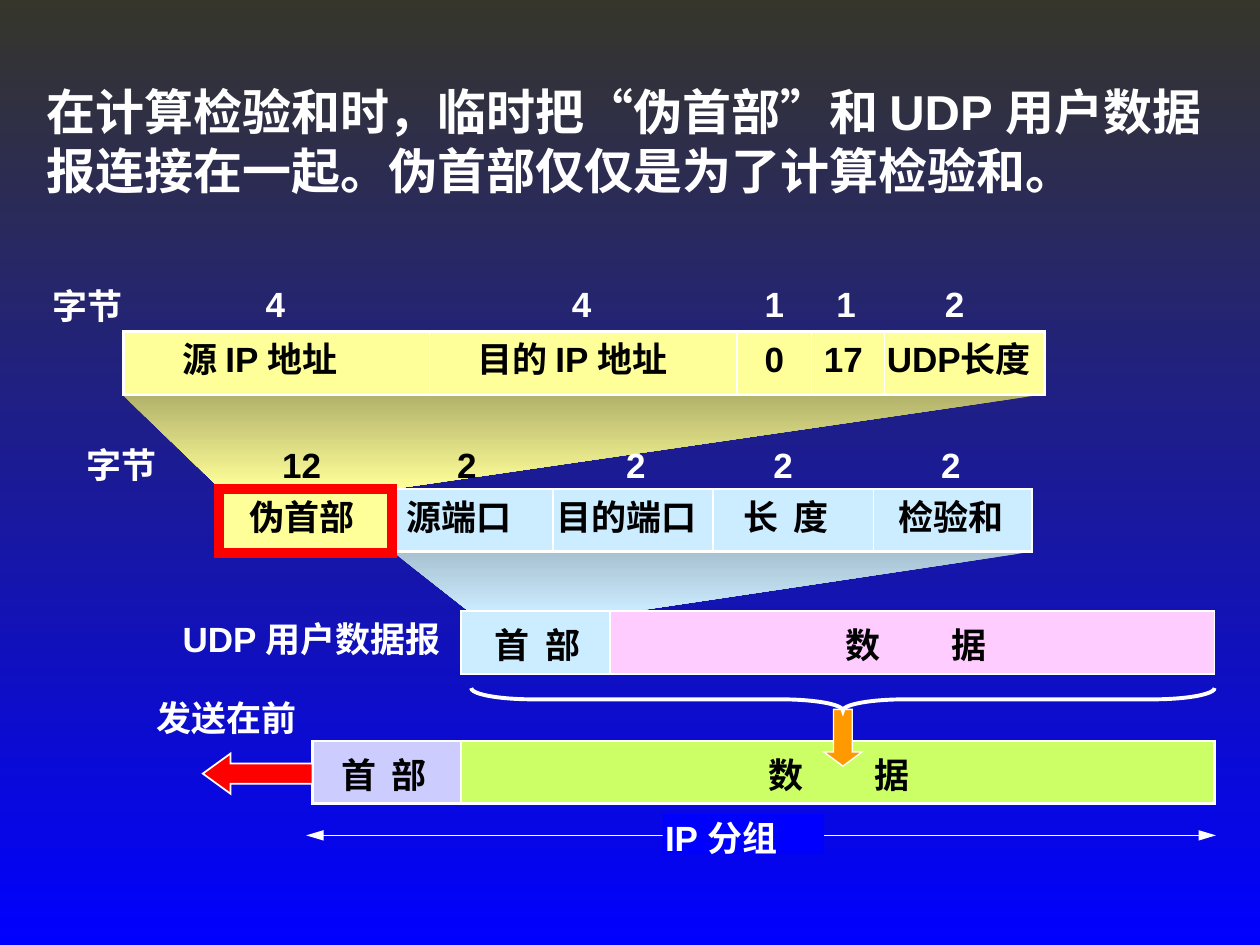
"""Build a slide that explains the pseudo header of a UDP checksum."""
from typing import NamedTuple, Optional

import lxml.etree
import pptx
import pptx.dml.color
import pptx.enum.shapes
import pptx.enum.text
import pptx.oxml.ns
import pptx.util
from pptx.util import Inches

COLOURS = {
    "white": "FFFFFF", "black": "000000", "dusk": "36362B", "blue": "0000FF",
    "yellow": "FFFF99", "olive": "B2B26B", "sky": "CCECFF", "slate": "A7C1D1",
    "lilac": "CCCCFF", "lime": "CCFF66", "pink": "FFCCFF", "red": "FF0000",
    "orange": "FF9900",
}
SHAPES = pptx.enum.shapes.MSO_SHAPE
ROW_HEIGHT = 0.5
LABEL_HEIGHT = 0.44
INSET = 0.1
GLYPH = 0.28
ADDRESS_TOP, HEADER_TOP, DATAGRAM_TOP, PACKET_TOP = 2.63, 3.88, 4.85, 5.88


class Block(NamedTuple):
    left: float
    top: float
    width: float
    fill: Optional[str]
    height: float = ROW_HEIGHT
    outline: Optional[str] = "white"
    weight: float = 1.5
    kind: int = SHAPES.RECTANGLE
    adjustments: tuple = ()
    rotation: float = 0


class Wedge(NamedTuple):
    points: tuple
    start: str
    end: str


class Label(NamedTuple):
    left: float
    top: float
    width: float
    text: str
    colour: str = "black"


WEDGES = (
    Wedge(((3.12, 4.38), (8.18, 4.38), (4.97, 4.86), (3.72, 4.85)), "slate", "sky"),
    Wedge(((0.97, 3.13), (8.28, 3.13), (3.12, 3.88), (1.75, 3.88)), "olive", "yellow"),
)
BLOCKS = (
    Block(2.48, PACKET_TOP, 1.18, "lilac"),
    Block(3.66, PACKET_TOP, 5.98, "lime"),
    Block(3.66, DATAGRAM_TOP, 1.18, "sky", weight=1),
    Block(4.84, DATAGRAM_TOP, 4.8, "pink", weight=1),
    Block(0.98, ADDRESS_TOP, 7.31, "yellow"),
    Block(3.12, HEADER_TOP, 5.07, "sky"),
    Block(1.61, 5.98, 0.87, "red", 0.32, "white", 1, SHAPES.LEFT_ARROW, (0.5, 0.69)),
    Block(6.54, 5.63, 0.3, "orange", 0.45, "white", 0.75, SHAPES.DOWN_ARROW, (0.5, 0.37)),
    Block(6.6, 2.6, 0.18, None, 5.9, "white", 2.25, SHAPES.LEFT_BRACE, (2.72, 0.5), 270),
    Block(1.75, HEADER_TOP, 1.37, "yellow", outline=None),
    Block(1.74, HEADER_TOP, 1.37, None, 0.51, "red", 6),
)
DIVIDERS = {
    ADDRESS_TOP: (3.41, 5.85, 6.44, 7.02),
    HEADER_TOP: tuple(3.12 + 1.27 * step for step in (1, 2, 3)),
}
LABELS = (
    Label(1.35, ADDRESS_TOP, 1.57, "源 IP 地址"),
    Label(3.69, ADDRESS_TOP, 1.85, "目的 IP 地址"),
    Label(5.97, ADDRESS_TOP, 0.35, "0"),
    Label(6.44, ADDRESS_TOP, 0.51, "17"),
    Label(6.94, ADDRESS_TOP, 1.41, "UDP长度"),
    Label(1.88, HEADER_TOP, 1.03, "伪首部"),
    Label(3.13, HEADER_TOP, 1.03, "源端口"),
    Label(4.32, HEADER_TOP, 1.31, "目的端口"),
    Label(5.8, HEADER_TOP, 0.88, "长\t度"),
    Label(7.03, HEADER_TOP, 1.03, "检验和"),
    Label(3.83, 4.9, 0.88, "首\t部"),
    Label(6.61, 4.9, 1.32, "数\t据"),
    Label(2.61, 5.93, 0.88, "首\t部"),
    Label(6, 5.93, 1.32, "数\t据"),
    Label(0.32, 2.21, 0.75, "字节", "white"),
    Label(0.59, 3.47, 0.75, "字节", "white"),
    Label(2.14, 3.47, 0.51, "12"),
    Label(3.53, 3.47, 0.35, "2"),
    Label(1.35, DATAGRAM_TOP, 2.32, "UDP 用户数据报", "white"),
    Label(1.14, 5.48, 1.31, "发送在前", "white"),
    Label(5.18, 6.43, 1.16, "IP 分组", "white"),
)
BYTE_COUNTS = {
    2.19: ((2.01, "4"), (4.44, "4"), (5.97, "1"), (6.54, "1"), (7.4, "2")),
    3.47: ((4.87, "2"), (6.04, "2"), (7.37, "2")),
}


def colour(name: str) -> pptx.dml.color.RGBColor:
    """Return the named colour."""
    return pptx.dml.color.RGBColor.from_string(COLOURS[name])


def add_element(parent, tag: str, **attributes: str):
    """Append a drawing element to its parent."""
    return lxml.etree.SubElement(parent, pptx.oxml.ns.qn(tag), attributes)


def fade(fill, start: str, end: str) -> None:
    """Fill from top to bottom with a gradient."""
    fill.gradient()
    fill.gradient_angle = 270
    for stop, name, position in zip(fill.gradient_stops, (start, end), (0, 1)):
        stop.color.rgb = colour(name)
        stop.position = position


def draw_wedge(page, wedge: Wedge) -> None:
    """Draw the zoom wedge between two rows."""
    corners = [(Inches(x), Inches(y)) for x, y in wedge.points]
    builder = page.shapes.build_freeform(*corners[0], scale=1.0)
    builder.add_line_segments(corners[1:], close=True)
    shape = builder.convert_to_shape()
    shape.shadow.inherit = False
    shape.line.fill.background()
    fade(shape.fill, wedge.start, wedge.end)


def draw_block(page, block: Block) -> None:
    """Draw a preset shape with sharp corners."""
    shape = page.shapes.add_shape(block.kind, Inches(block.left), Inches(block.top),
                                  Inches(block.width), Inches(block.height))
    shape.shadow.inherit = False
    shape.rotation = block.rotation
    for index, value in enumerate(block.adjustments):
        shape.adjustments[index] = value
    if block.fill:
        shape.fill.solid()
        shape.fill.fore_color.rgb = colour(block.fill)
    else:
        shape.fill.background()
    if block.outline:
        shape.line.color.rgb = colour(block.outline)
        shape.line.width = pptx.util.Pt(block.weight)
        add_element(shape._element.spPr.find(pptx.oxml.ns.qn("a:ln")), "a:miter", lim="800000")
    else:
        shape.line.fill.background()


def draw_line(page, start: tuple, end: tuple, arrows: bool = False) -> None:
    """Draw a thin white line, with arrowheads if asked."""
    line = page.shapes.add_connector(pptx.enum.shapes.MSO_CONNECTOR.STRAIGHT,
                                     *(Inches(value) for value in start + end))
    line.line.color.rgb = colour("white")
    line.line.width = pptx.util.Pt(0.75)
    properties = line._element.spPr
    if arrows:
        outline = properties.find(pptx.oxml.ns.qn("a:ln"))
        for tag in ("a:headEnd", "a:tailEnd"):
            add_element(outline, tag, type="triangle", w="med", len="lg")
    add_element(properties, "a:effectLst")


def add_span(para, text: str, size: float, name: str, font: str = "Arial") -> None:
    """Add one bold run."""
    span = para.add_run()
    span.text = text
    span.font.size = pptx.util.Pt(size)
    span.font.name = font
    span.font.bold = True
    span.font.color.rgb = colour(name)


def draw_label(page, label: Label) -> None:
    """Draw a one-line label, with a tab stop for spread characters."""
    box = page.shapes.add_textbox(Inches(label.left), Inches(label.top),
                                  Inches(label.width), Inches(LABEL_HEIGHT))
    frame = box.text_frame
    frame.auto_size = pptx.enum.text.MSO_AUTO_SIZE.SHAPE_TO_FIT_TEXT
    frame.word_wrap = True
    frame.margin_right = 0
    para = frame.paragraphs[0]
    if "\t" in label.text:
        stops = add_element(para._p.get_or_add_pPr(), "a:tabLst")
        position = Inches(label.width - 2 * INSET - GLYPH)
        add_element(stops, "a:tab", pos=str(position), algn="l")
    add_span(para, label.text, 20, label.colour)


def draw_title(page) -> None:
    """Draw the statement at the top."""
    box = page.shapes.add_textbox(Inches(0.27), Inches(0.6), Inches(9.49), Inches(1.04))
    box.text_frame.word_wrap = True
    para = box.text_frame.paragraphs[0]
    add_span(para, "在计算检验和时，临时把“伪首部”和 UDP 用户数据报连接在一起。", 28, "white")
    add_span(para, "伪首部仅仅是为了计算检验和。", 28, "white", "Karla")


def main() -> None:
    """Build and save the deck."""
    deck = pptx.Presentation()
    deck.slide_width, deck.slide_height = Inches(10), Inches(7.5)
    page = deck.slides.add_slide(deck.slide_layouts[6])
    fade(page.background.fill, "dusk", "blue")
    draw_title(page)
    for wedge in WEDGES:
        draw_wedge(page, wedge)
    for block in BLOCKS:
        draw_block(page, block)
    for top, positions in DIVIDERS.items():
        for x in positions:
            draw_line(page, (x, top), (x, top + ROW_HEIGHT))
    draw_line(page, (2.43, 6.63), (9.65, 6.63), arrows=True)
    draw_block(page, Block(5.26, 6.46, 1.28, "blue", 0.32, None))
    counts = [Label(left, top, 0.35, count, "white")
              for top, row in BYTE_COUNTS.items() for left, count in row]
    for label in (*LABELS, *counts):
        draw_label(page, label)
    deck.save("out.pptx")


if __name__ == "__main__":
    main()
